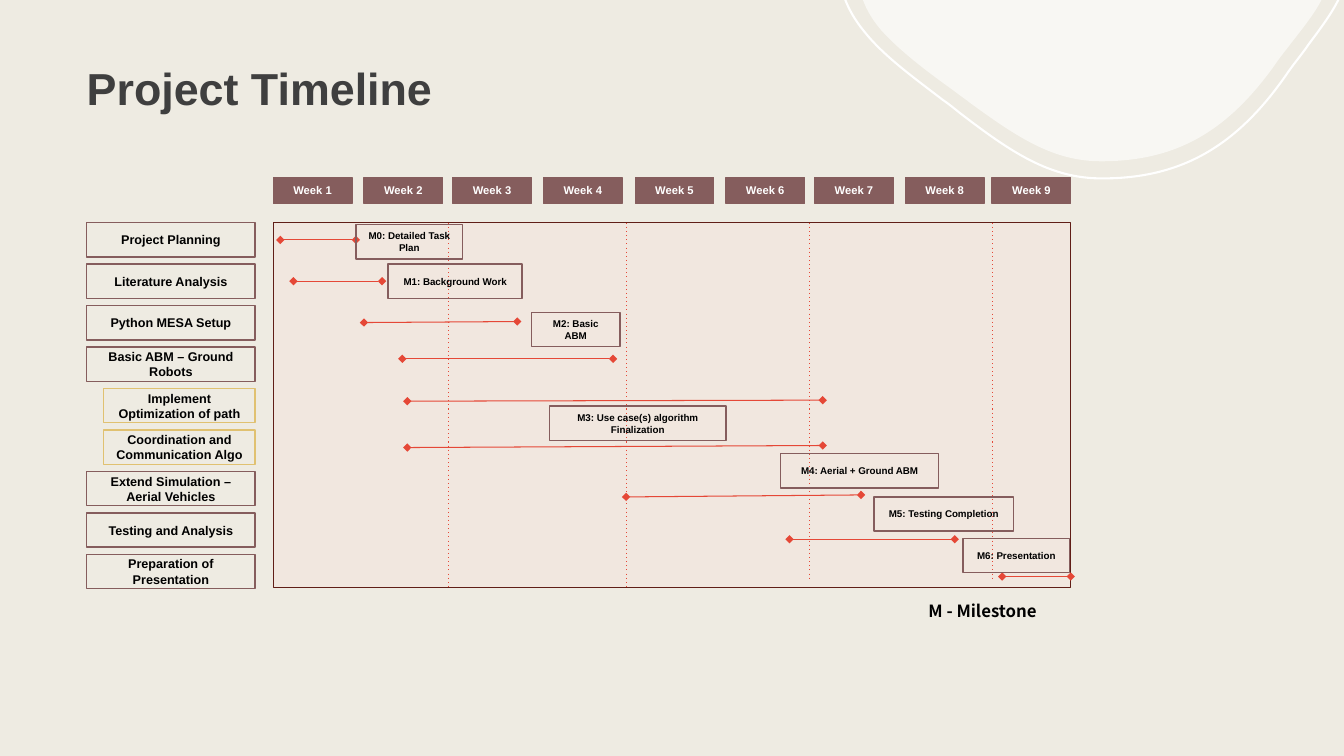
from lxml.etree import SubElement
from pptx import Presentation
from pptx.dml.color import RGBColor
from pptx.enum.shapes import MSO_CONNECTOR, MSO_SHAPE
from pptx.enum.text import MSO_ANCHOR as ANCHOR, PP_ALIGN as ALIGN
from pptx.oxml.ns import qn
from pptx.util import Inches, Pt

BROWN, GOLD, RED = "855D5D", "E0C171", "E54837"
ROW_H = 0.34
UNITS = 1000

WEEK_OFFSETS = [0, 0.9, 1.78, 2.68, 3.59, 4.49, 5.37, 6.27, 7.13]
TASKS = [
    ("Project Planning", False),
    ("Literature Analysis", False),
    ("Python MESA Setup", False),
    ("Basic ABM – Ground Robots", False),
    ("Implement Optimization of path", True),
    ("Coordination and Communication Algo", True),
    ("Extend Simulation – Aerial Vehicles", False),
    ("Testing and Analysis", False),
    ("Preparation of Presentation", False),
]
BARS = [
    (0.07, 0.17, 0.82, 0.17),
    (0.2, 0.58, 1.08, 0.58),
    (0.9, 0.99, 2.42, 0.98),
    (1.28, 1.35, 3.37, 1.35),
    (1.33, 1.77, 5.45, 1.76),
    (1.33, 2.23, 5.45, 2.21),
    (3.5, 2.72, 5.83, 2.7),
    (5.12, 3.14, 6.76, 3.14),
    (7.23, 3.51, 7.91, 3.51),
]
DIVIDERS = [(1.74, 3.62), (3.5, 3.62), (5.32, 3.54), (7.13, 3.55)]
MILESTONES = [
    ("M0: Detailed Task Plan", 0.82, 0.02, 1.06),
    ("M1: Background Work", 1.14, 0.41, 1.33),
    ("M2: Basic ABM", 2.56, 0.89, 0.88),
    ("M3: Use case(s) algorithm Finalization", 2.74, 1.82, 1.75),
    ("M4: Aerial + Ground ABM", 5.03, 2.29, 1.57),
    ("M5: Testing Completion", 5.96, 2.72, 1.38),
    ("M6: Presentation", 6.84, 3.13, 1.06),
]
BLOB = [(2.42, 2.45), [
    [(3.15, 2.45), (3.66, 2.17), (4.14, 1.5)],
    [(4.2, 1.41), (4.26, 1.34), (4.32, 1.26)],
    [(4.57, 0.94), (4.69, 0.78), (4.69, 0.5)],
    [(4.69, 0.36), (4.67, 0.22), (4.63, 0.08)],
    [(4.6, 0)],
    [(0.04, 0)],
    [(0.03, 0.04)],
    [(0.01, 0.19), (0, 0.34), (0, 0.5)],
    [(0, 0.75), (0.07, 0.95), (0.24, 1.15)],
    [(0.42, 1.35), (0.68, 1.55), (0.96, 1.75)],
    [(1.01, 1.79), (1.07, 1.83), (1.12, 1.87)],
    [(1.6, 2.22), (1.95, 2.45), (2.42, 2.45)],
]]
RIM = [(2.62, 2.65), [
    [(3.4, 2.65), (3.96, 2.34), (4.47, 1.59)],
    [(4.54, 1.49), (4.61, 1.41), (4.67, 1.32)],
    [(4.94, 0.96), (5.06, 0.78), (5.06, 0.46)],
    [(5.06, 0.38), (5.06, 0.31), (5.05, 0.23)],
    [(5.01, 0)],
    [(0.03, 0)],
    [(0.01, 0.2)],
    [(0, 0.29), (0, 0.38), (0, 0.46)],
    [(0, 0.74), (0.08, 0.97), (0.26, 1.19)],
    [(0.45, 1.43), (0.74, 1.64), (1.04, 1.87)],
    [(1.1, 1.91), (1.16, 1.96), (1.21, 2)],
    [(1.73, 2.4), (2.11, 2.65), (2.62, 2.65)],
]]


def rgb(color):
    return RGBColor.from_string(color)


def paint(sp, fill=None, line=None, width=1):
    sp.shadow.inherit = False
    if fill:
        sp.fill.solid()
        sp.fill.fore_color.rgb = rgb(fill)
    else:
        sp.fill.background()
    if line:
        sp.line.color.rgb = rgb(line)
        sp.line.width = Pt(width)
    else:
        sp.line.fill.background()


def write(sp, text, size=9, font="Arial", color="000000", align=ALIGN.CENTER,
          anchor=ANCHOR.MIDDLE):
    tf = sp.text_frame
    tf.word_wrap = True
    tf.vertical_anchor = anchor
    p = tf.paragraphs[0]
    p.alignment = align
    r = p.add_run()
    r.text = text
    r.font.size = Pt(size)
    r.font.name = font
    r.font.bold = True
    r.font.color.rgb = rgb(color)
    return tf


def add_box(s, left, top, width, height, fill=None, line=BROWN):
    sp = s.shapes.add_shape(MSO_SHAPE.RECTANGLE, Inches(left), Inches(top),
                            Inches(width), Inches(height))
    paint(sp, fill, line)
    return sp


def add_line(s, x1, y1, x2, y2, diamonds=False):
    sp = s.shapes.add_connector(MSO_CONNECTOR.STRAIGHT, Inches(x1), Inches(y1),
                                Inches(x2), Inches(y2))
    sp.line.color.rgb = rgb(RED)
    sp.line.width = Pt(0.75)
    ln = sp._element.spPr.find(qn("a:ln"))
    if diamonds:
        for end in ("a:headEnd", "a:tailEnd"):
            SubElement(ln, qn(end), type="diamond")
    else:
        SubElement(ln, qn("a:prstDash"), val="dot")
    SubElement(sp._element.spPr, qn("a:effectLst"))


def add_outline(s, left, top, outline):
    def place(point):
        return round((left + point[0]) * UNITS), round((top + point[1]) * UNITS)

    start, segments = outline
    builder = s.shapes.build_freeform(*place(start), scale=Inches(1) / UNITS)
    builder.add_line_segments([place(pt) for seg in segments for pt in seg], close=True)
    sp = builder.convert_to_shape()
    steps = iter(sp._element.xpath(".//a:lnTo"))
    for seg in segments:
        first = next(steps)
        if len(seg) == 3:
            curve = first.makeelement(qn("a:cubicBezTo"))
            first.addprevious(curve)
            curve.append(first[0])
            first.getparent().remove(first)
            for _ in range(2):
                step = next(steps)
                curve.append(step[0])
                step.getparent().remove(step)
    return sp


def add_corner(s, left, top):
    blob = add_outline(s, left + 0.19, top + 0.03, BLOB)
    paint(blob, "FFFFFF")
    color = blob._element.spPr.find(qn("a:solidFill"))[0]
    SubElement(color, qn("a:alpha"), val="60000")
    paint(add_outline(s, left, top, RIM), line="FFFFFF", width=1.5)


def add_text(s, text, left, top, width, height, **fmt):
    sp = s.shapes.add_textbox(Inches(left), Inches(top), Inches(width), Inches(height))
    return write(sp, text, align=ALIGN.LEFT, anchor=ANCHOR.TOP, **fmt)


def add_title(s, left, top, width, height):
    tf = add_text(s, "Project Timeline", left, top, width, height, size=32, color="3F3F3F")
    tf.margin_left = tf.margin_right = tf.margin_top = Inches(0.12)
    tf.margin_bottom = Inches(0.1)


def add_weeks(s, left, top, width, height):
    cell = width - WEEK_OFFSETS[-1]
    for i, x in enumerate(WEEK_OFFSETS, 1):
        sp = add_box(s, left + x, top, cell, height, fill=BROWN)
        write(sp, f"Week {i}", size=8, color="FFFFFF")


def add_tasks(s, left, top, width, height):
    pitch = (height - ROW_H) / (len(TASKS) - 1)
    for i, (name, is_sub) in enumerate(TASKS):
        indent = 0.17 if is_sub else 0
        sp = add_box(s, left + indent, top + i * pitch, width - indent, ROW_H,
                     line=GOLD if is_sub else BROWN)
        write(sp, name)


def add_gantt(s, left, top, width, height):
    add_box(s, left, top, width, height, fill="F1E7DF", line="601E17")
    for x1, y1, x2, y2 in BARS:
        add_line(s, left + x1, top + y1, left + x2, top + y2, diamonds=True)
    for x, length in DIVIDERS:
        add_line(s, left + x, top, left + x, top + length)
    for name, x, y, w in MILESTONES:
        write(add_box(s, left + x, top + y, w, ROW_H), name, size=7)


def main():
    prs = Presentation()
    prs.slide_width, prs.slide_height = Inches(13.33), Inches(7.5)
    s = prs.slides.add_slide(prs.slide_layouts[6])
    s.background.fill.solid()
    s.background.fill.fore_color.rgb = rgb("EEEBE2")
    add_corner(s, 8.31, -0.88)
    add_title(s, 0.74, 0.48, 7.55, 0.85)
    add_weeks(s, 2.71, 1.76, 7.91, 0.26)
    add_tasks(s, 0.86, 2.21, 1.67, 3.63)
    add_gantt(s, 2.71, 2.21, 7.91, 3.62)
    add_text(s, "M - Milestone", 9.11, 5.91, 1.51, 0.3, size=12, font="Noto Sans CJK JP")
    prs.save("out.pptx")


if __name__ == "__main__":
    main()
